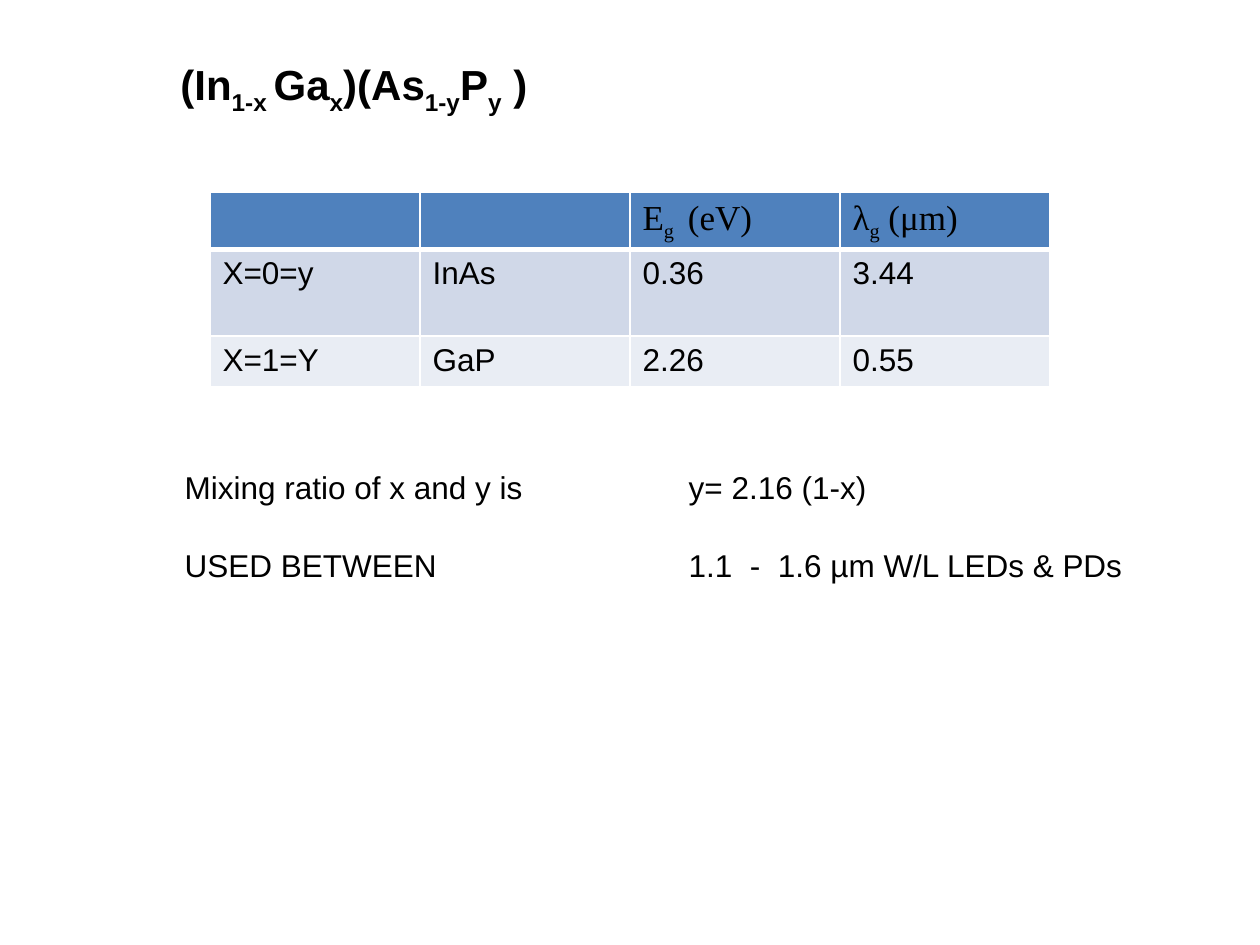
"""Build the InGaAsP band gap slide with its table and mixing rule."""
from dataclasses import dataclass

from lxml.etree import SubElement
from pptx import Presentation
from pptx.dml.color import RGBColor as Color
from pptx.oxml.ns import qn
from pptx.util import Pt


@dataclass(frozen=True)
class Theme:
    ink: str = "000000"
    grid: str = "FFFFFF"
    bands: tuple = ("4F81BD", "D0D8E8", "E9EDF4")
    sans: str = "Arial"
    serif: str = "Times New Roman"
    title: int = 24
    header: int = 20
    body: int = 18


def write(para, pieces, name, size, bold=False):
    """Write pieces of text, lowering every second one to a subscript."""
    for index, piece in enumerate(pieces):
        span = para.add_run()
        span.text = piece
        if index % 2:
            span.font._element.set("baseline", "-25000")
    para.font.name = name
    para.font.size = Pt(size)
    para.font.bold = bold
    para.font.color.rgb = Color.from_string(theme.ink)


def add_border(cell, side, width):
    """Draw one solid edge of a table cell."""
    line = SubElement(cell._tc.get_or_add_tcPr(), qn(f"a:{side}"), w=str(Pt(width)))
    SubElement(SubElement(line, qn("a:solidFill")), qn("a:srgbClr"), val=theme.grid)


theme = Theme()
deck = Presentation()
deck.slide_width, deck.slide_height = Pt(720), Pt(540)
page = deck.slides.add_slide(deck.slide_layouts[6])

rows = [
    [[], [], ["E", "g ", " (eV)"], ["λ", "g", " (μm)"]],
    [["X=0=y"], ["InAs"], ["0.36"], ["3.44"]],
    [["X=1=Y"], ["GaP"], ["2.26"], ["0.55"]],
]
heights = [32, 49.5, 29]
table = page.shapes.add_table(3, 4, Pt(120), Pt(110), Pt(480), Pt(sum(heights))).table
for row_index, (cells, height) in enumerate(zip(rows, heights)):
    table.rows[row_index].height = Pt(height)
    is_header = row_index == 0
    name = theme.serif if is_header else theme.sans
    size = theme.header if is_header else theme.body
    for column_index, pieces in enumerate(cells):
        cell = table.cell(row_index, column_index)
        for side in ("lnL", "lnR", "lnT", "lnB"):
            is_rule = (row_index, side) in ((0, "lnB"), (1, "lnT"))
            add_border(cell, side, 3 if is_rule else 1)
        cell.fill.solid()
        cell.fill.fore_color.rgb = Color.from_string(theme.bands[row_index])
        write(cell.text_frame.paragraphs[0], pieces, name, size)

title = page.shapes.add_textbox(Pt(96), Pt(30), Pt(226), Pt(36)).text_frame
formula = ["(In", "1-x ", "Ga", "x", ")(As", "1-y", "P", "y", " )"]
write(title.paragraphs[0], formula, theme.sans, theme.title, bold=True)

notes = page.shapes.add_textbox(Pt(98.5), Pt(264), Pt(576), Pt(94.5)).text_frame
notes.word_wrap = True
facts = [
    ("Mixing ratio of x and y is", "y= 2.16 (1-x)"),
    ("USED BETWEEN", "1.1  -  1.6 µm W/L LEDs & PDs"),
]
for index, fact in enumerate(facts):
    para = notes.add_paragraph() if index else notes.paragraphs[0]
    if index:
        para.space_before = Pt(22.7)
    stops = SubElement(para._p.get_or_add_pPr(), qn("a:tabLst"))
    SubElement(stops, qn("a:tab"), pos=str(Pt(288)), algn="l")
    write(para, ["\t".join(fact)], theme.sans, theme.body)

deck.save("out.pptx")
